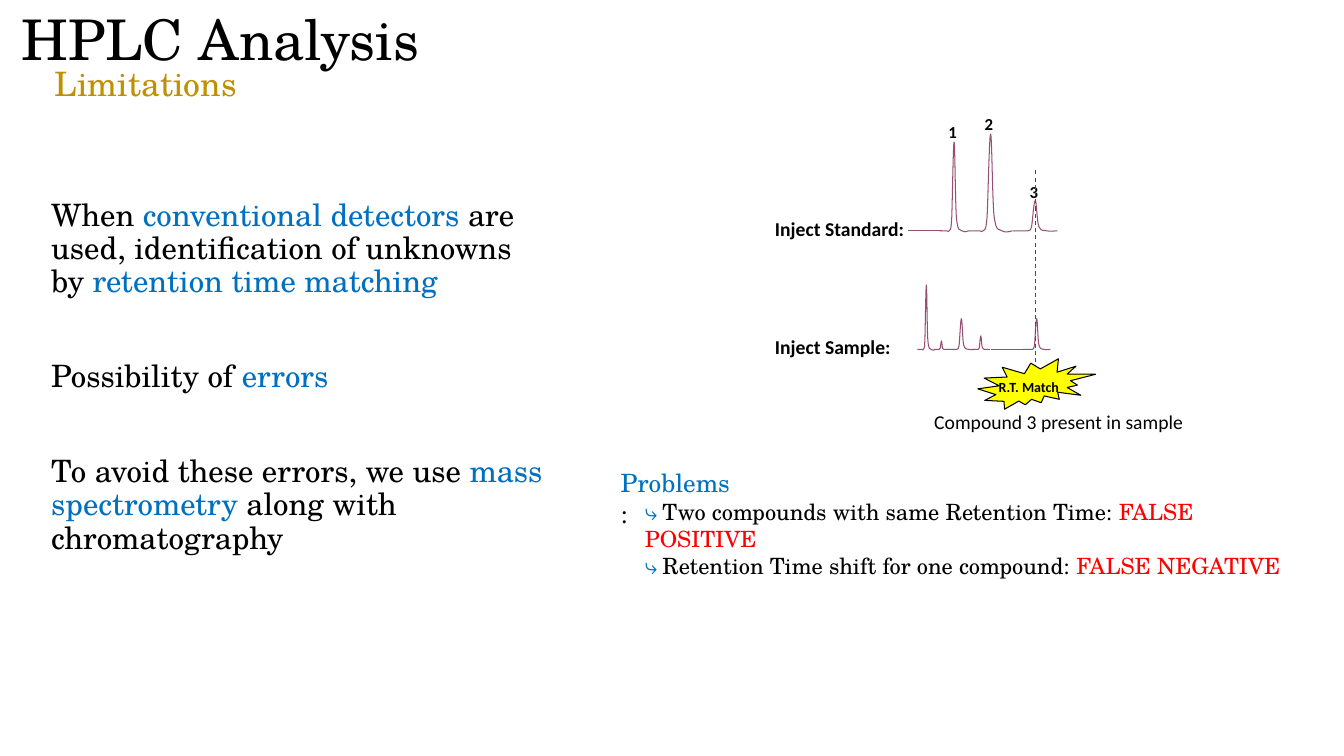
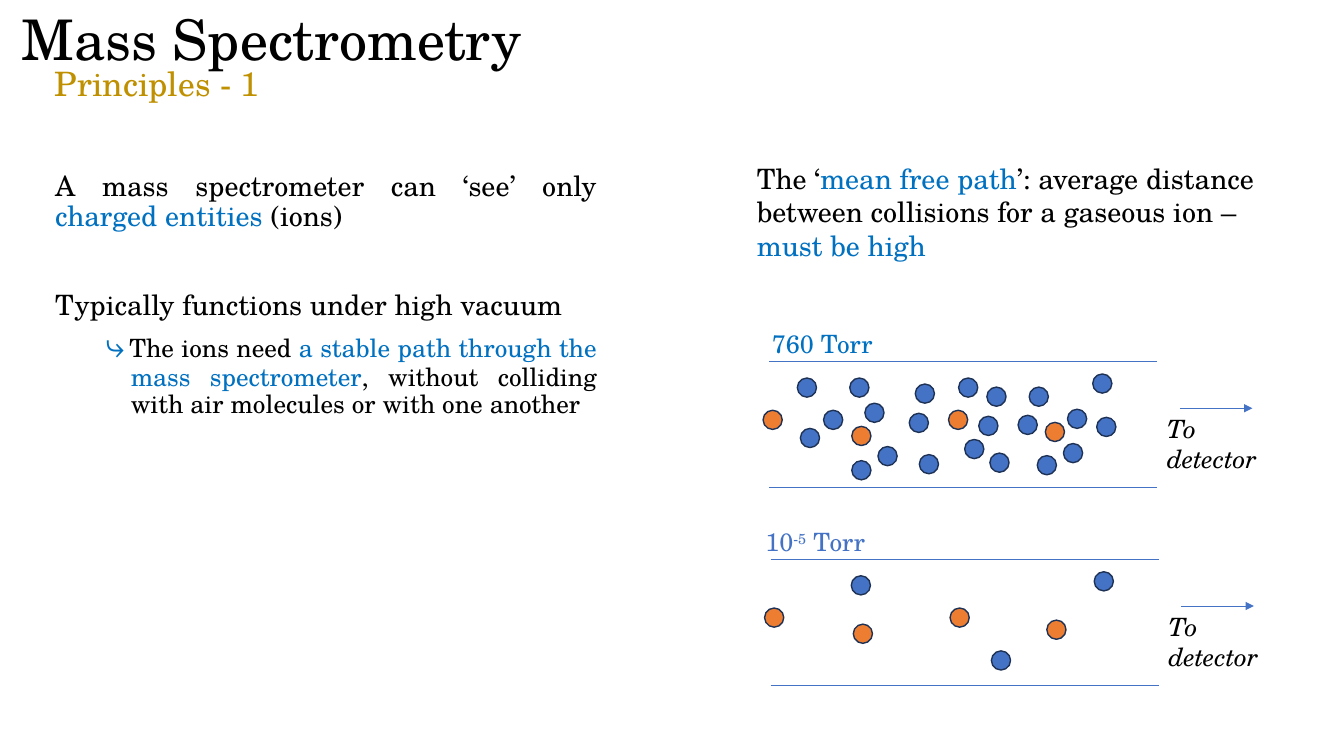
from lxml import etree
from pptx import Presentation
from pptx import util as u
from pptx.dml.color import RGBColor
from pptx.enum import dml, shapes, text
from pptx.oxml.ns import qn

CELL = u.Inches(0.1)
COLS, ROWS = 133.33, 75
SERIF, SANS = "TeX Gyre Schola", "Calibri"
BLACK, BLUE, GOLD, RED = "000000", "0070C0", "BF9000", "FF0000"
YELLOW, PLUM, AIR, ION, RIM = "FFFF00", "954F72", "4472C4", "ED7D31", "1E3256"
HOOK = "⤷"

PEAK = [
    (0, 0),
    (0.09, 0), (0.18, 0), (0.25, 0),
    (0.3, 0), (0.3, -0.02), (0.33, 0),
    (0.37, 0.02), (0.39, -0.02), (0.42, 0.15),
    (0.44, 0.31), (0.47, 1), (0.5, 1),
    (0.53, 1), (0.54, 0.31), (0.58, 0.15),
    (0.63, -0.02), (0.69, 0.02), (0.76, 0),
    (0.83, -0.02), (0.92, -0.01), (1, 0),
]

STANDARD_PEAKS = [(100.5, 4.4, 3), (96.1, 4.35, 9.6), (93.2, 2.9, 8.8)]
SAMPLE_PEAKS = [(92.7, 1.4, 0.85), (94, 2.75, 3.05), (91, 1.8, 6.4),
                (96.4, 1.8, 1.35), (101.5, 2.7, 3.05)]

IONS = [(-0.6, 4.8), (8.2, 6.4), (27.4, 6), (17.8, 4.8)]
SPARSE_AIR = [(8, 1.6), (32.1, 1.2), (21.9, 9.05)]
DENSE_AIR = SPARSE_AIR + [
    (9.5, 4.1), (14.5, 2.2), (13.9, 5.1), (5.4, 4.8), (3.1, 6.6),
    (10.8, 8.4), (8.2, 9.8), (25.8, 2.5), (24.7, 5.3), (29.2, 8.1),
    (26.6, 9.3), (21.6, 2.5), (18.8, 1.6), (19.4, 7.7), (2.8, 1.6),
    (32.5, 5.5), (29.6, 4.7), (20.8, 5.4), (14.9, 9.2),
]


def grid(*cells):
    return [u.Emu(round(c * CELL)) for c in cells]


def rgb(color):
    return RGBColor.from_string(color)


def blue(words, **fmt):
    return words, dict(color=BLUE, **fmt)


def red(words):
    return words, dict(color=RED)


def add_run(p, words, size=18, font=SERIF, color=BLACK, bold=False,
            italic=False, baseline=0):
    r = p.add_run()
    r.text = words
    r.font.size = u.Pt(size)
    r.font.name = font
    r.font.bold = bold
    r.font.italic = italic
    r.font.color.rgb = rgb(color)
    if baseline:
        r._r.get_or_add_rPr().set("baseline", str(baseline * 1000))


def add_text(s, at, *paras, spacing=None, before=(), align=None,
             hanging=(), **fmt):
    tf = s.shapes.add_textbox(*grid(*at)).text_frame
    tf.word_wrap = True
    for i, runs in enumerate(paras):
        p = tf.add_paragraph() if i else tf.paragraphs[0]
        p.alignment = align
        p.line_spacing = spacing
        if before:
            p.space_before = u.Pt(before[i])
        if i in hanging:
            pPr = p._p.get_or_add_pPr()
            pPr.set("marL", str(u.Inches(0.75)))
            pPr.set("indent", str(u.Inches(-0.25)))
        for run in [runs] if isinstance(runs, str) else runs:
            words, own = (run, {}) if isinstance(run, str) else run
            add_run(p, words, **{**fmt, **own})


def add_line(s, x1, y1, x2, y2, color, width, dash=False, arrow=False):
    sp = s.shapes.add_connector(shapes.MSO_CONNECTOR.STRAIGHT,
                                *grid(x1, y1, x2, y2))
    sp.line.color.rgb = rgb(color)
    sp.line.width = u.Pt(width)
    if dash:
        sp.line.dash_style = dml.MSO_LINE.DASH
    if arrow:
        etree.SubElement(sp.line._get_or_add_ln(), qn("a:tailEnd"),
                         type="triangle")
    etree.SubElement(sp._element.spPr, qn("a:effectLst"))


def add_shape(s, kind, at, fill, line, width):
    sp = s.shapes.add_shape(kind, *grid(*at))
    sp.shadow.inherit = False
    sp.fill.solid()
    sp.fill.fore_color.rgb = rgb(fill)
    sp.line.color.rgb = rgb(line)
    sp.line.width = u.Pt(width)


def round_corners(sp):
    outline = next(sp._element.iter(qn("a:path")))
    legs = outline.findall(qn("a:lnTo"))
    for i in range(0, len(legs), 3):
        curve = etree.SubElement(outline, qn("a:cubicBezTo"))
        for leg in legs[i:i + 3]:
            curve.append(leg[0])
            outline.remove(leg)


def add_peak(s, x, base, width, height):
    points = [tuple(grid(x + px * width, base - py * height))
              for px, py in PEAK]
    fb = s.shapes.build_freeform(*points[0])
    fb.add_line_segments(points[1:], close=False)
    sp = fb.convert_to_shape()
    round_corners(sp)
    sp.shadow.inherit = False
    sp.fill.background()
    sp.line.color.rgb = rgb(PLUM)
    sp.line.width = u.Pt(0.75)


def add_trace(s, base, peaks, flat):
    for x, width, height in peaks:
        add_peak(s, x, base, width, height)
    add_line(s, flat[0], base, flat[1], base, PLUM, 0.75)


def add_chamber(s, x, y, label, label_dx, air):
    for dy in (0, 12.5):
        add_line(s, x, y + dy, x + 38.5, y + dy, AIR, 0.5)
    add_line(s, x + 40.75, y + 4.6, x + 47.95, y + 4.6, AIR, 0.5, arrow=True)
    add_text(s, (x + 38.5, y + 4.6, 14, 5.9), "To detector", italic=True)
    for spots, color in ((air, AIR), (IONS, ION)):
        for dx, dy in spots:
            add_shape(s, shapes.MSO_SHAPE.OVAL, (x + dx, y + dy, 1.9, 1.9),
                      color, RIM, 1)
    add_text(s, (x + label_dx, y - 3.77, 19, 4), label)


def new_slide(prs, title, title_width, subtitle, subtitle_width):
    s = prs.slides.add_slide(prs.slide_layouts[6])
    add_text(s, (1.15, 0, title_width, 7.7), title, size=40)
    add_text(s, (4.45, 5.8, subtitle_width, 5), subtitle, size=24, color=GOLD)
    return s


def hplc_slide(prs):
    s = new_slide(prs, "HPLC Analysis", 67.2, "Limitations", 67.2)
    add_text(
        s, (4.1, 19.33, 51.5, 47.6),
        ["When ", blue("conventional detectors "),
         "are used, identification of unknowns by ",
         blue("retention time matching")],
        ["Possibility of ", blue("errors")],
        ["To avoid these errors, we use ", blue("mass spectrometry "),
         "along with chromatography"],
        size=22, spacing=0.9, before=(10, 44, 44))

    add_trace(s, 22.9, STANDARD_PEAKS, (90.1, 93.5))
    for number, x, y in (("1", 93.1, 11.6), ("2", 96.7, 10.8),
                         ("3", 101.15, 17.5)):
        add_text(s, (x, y, 2.9, 3), number, size=12, font=SANS, bold=True)
    for label, y, width in (("Inject Standard:", 21, 15),
                            ("Inject Sample:", 32.7, 13.7)):
        add_text(s, (75.9, y, width, 3.4), label, size=14, font=SANS,
                 bold=True)
    add_trace(s, 34.67, SAMPLE_PEAKS, (98.3, 101.6))

    add_line(s, 102.73, 16.9, 102.73, 36.9, RED, 0.75, dash=True)
    add_shape(s, shapes.MSO_SHAPE.EXPLOSION2, (97, 35.6, 11.7, 5),
              YELLOW, BLACK, 0.75)
    add_text(s, (98.1, 37.1, 8.4, 2.7), "R.T. Match", size=10, font=SANS,
             bold=True)
    add_text(s, (91.7, 40.2, 27, 3.4), "Compound 3 present in sample",
             size=14, font=SANS)

    add_text(s, (60.6, 45.9, 13.4, 4), [blue("Problems"), ":"])
    hook = blue(HOOK + " ", font=SANS)
    add_text(
        s, (63, 48.95, 66, 6.4),
        [hook, "Two compounds with same Retention Time: ",
         red("FALSE POSITIVE")],
        [hook, "Retention Time shift for one compound: ",
         red("FALSE NEGATIVE")],
        size=16)


def spectrometry_slide(prs):
    s = new_slide(prs, "Mass Spectrometry", 59, "Principles - 1", 54.7)
    add_text(
        s, (4.5, 16.58, 55.7, 47.6),
        ["A mass spectrometer can ‘see’ only ", blue("charged entities "),
         "(ions)"],
        ["Typically functions under high vacuum"],
        [blue(HOOK, size=24, font=SANS), (" ", dict(size=14, font=SANS)),
         ("The ions need ", dict(size=18)),
         blue("a stable path through the mass spectrometer", size=18),
         (", without colliding with air molecules or with one another",
          dict(size=18))],
        size=20, spacing=0.9, before=(10, 42, 5), hanging=(2,),
        align=text.PP_ALIGN.JUSTIFY)
    add_text(
        s, (74.1, 15.5, 52.2, 11.1),
        ["The ‘", blue("mean free path"),
         "’: average distance between collisions for a gaseous ion – ",
         blue("must be high")],
        size=20)

    add_chamber(s, 76.3, 35.9, [blue("760 Torr")], -0.7, DENSE_AIR)
    tint = dict(color=AIR)
    add_chamber(s, 76.45, 55.52,
                [("10", tint), ("-5", dict(tint, baseline=30)),
                 (" Torr", tint)],
                -1.5, SPARSE_AIR)


def main():
    prs = Presentation()
    prs.slide_width, prs.slide_height = grid(COLS, ROWS)
    hplc_slide(prs)
    spectrometry_slide(prs)
    prs.save("out.pptx")


if __name__ == "__main__":
    main()
